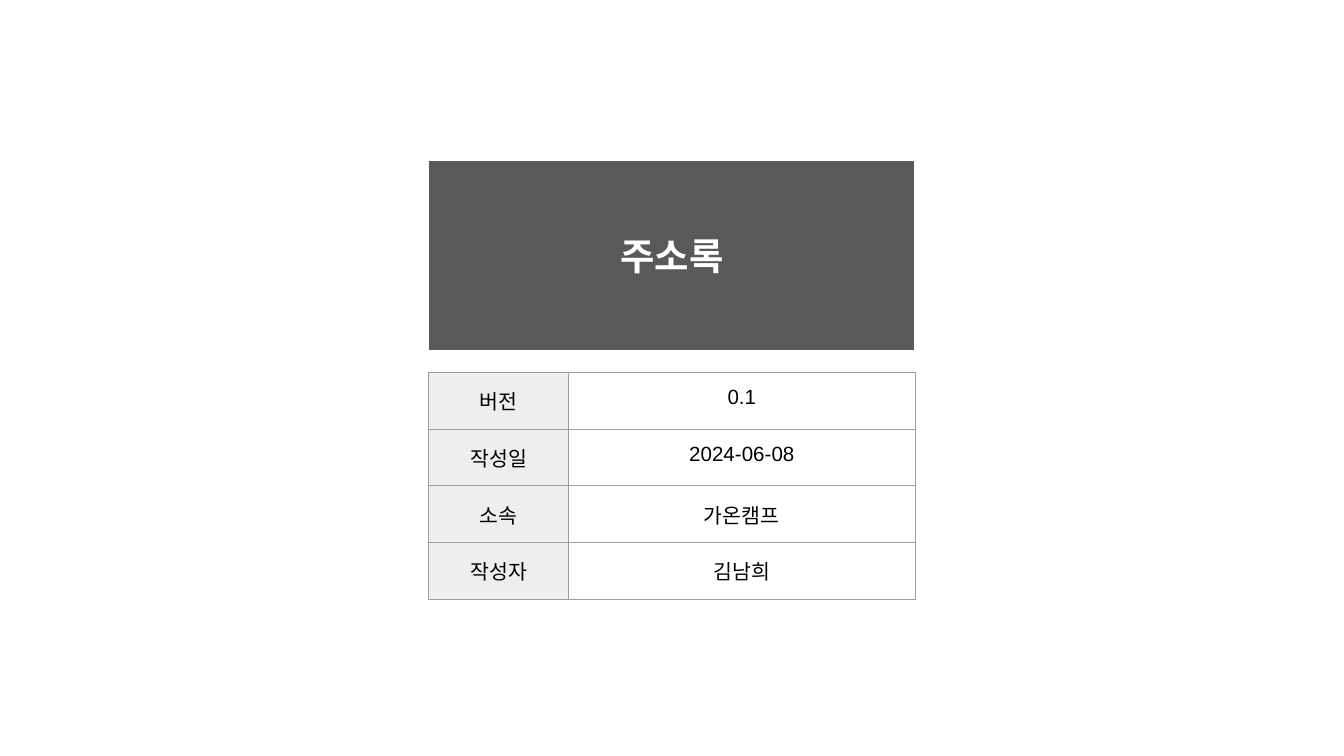
from dataclasses import dataclass

import pptx
import pptx.dml.color
import pptx.enum.text
import pptx.oxml.ns
import pptx.util
from lxml import etree

Pt = pptx.util.Pt
RGB = pptx.dml.color.RGBColor.from_string
ANCHOR = pptx.enum.text.MSO_ANCHOR
CENTER = pptx.enum.text.PP_ALIGN.CENTER


@dataclass(frozen=True)
class Theme:
    font: str = "Arial"
    white: str = "FFFFFF"
    black: str = "000000"
    banner: str = "595959"
    label: str = "EEEEEE"
    border: str = "9E9E9E"
    title_size: float = 20
    cell_size: float = 11
    line: float = 0.75
    inset: float = 7.2


THEME = Theme()
LEFT, WIDTH = 229.7, 260.6
LABEL_WIDTH = 74.9
ROW_HEIGHT = 30
TITLE = "주소록"
DETAILS = [
    ("버전", "0.1"),
    ("작성일", "2024-06-08"),
    ("소속", "가온캠프"),
    ("작성자", "김남희"),
]


def set_attributes(target, values):
    for name, value in values.items():
        setattr(target, name, value)


def inset_margins():
    return {f"margin_{side}": Pt(THEME.inset)
            for side in ("left", "right", "top", "bottom")}


def write_text(tf, text, size, color, bold=False):
    p = tf.paragraphs[0]
    p.alignment = CENTER
    r = p.add_run()
    r.text = text
    set_attributes(r.font, {"name": THEME.font, "size": Pt(size), "bold": bold})
    r.font.color.rgb = RGB(color)


def add_banner(s, text, top, height):
    sp = s.shapes.title
    set_attributes(sp, {"left": Pt(LEFT), "top": Pt(top),
                        "width": Pt(WIDTH), "height": Pt(height)})
    sp.fill.solid()
    sp.fill.fore_color.rgb = RGB(THEME.banner)
    sp.line.color.rgb = RGB(THEME.white)
    sp.line.width = Pt(THEME.line)
    tf = sp.text_frame
    set_attributes(tf, {"word_wrap": True, "vertical_anchor": ANCHOR.MIDDLE,
                        "auto_size": pptx.enum.text.MSO_AUTO_SIZE.NONE,
                        **inset_margins()})
    write_text(tf, text, THEME.title_size, THEME.white, bold=True)


def add_borders(cell):
    qn = pptx.oxml.ns.qn
    tc_pr = cell._tc.get_or_add_tcPr()
    for side in ("L", "R", "T", "B"):
        ln = etree.SubElement(tc_pr, qn(f"a:ln{side}"), w=str(Pt(THEME.line)))
        fill = etree.SubElement(ln, qn("a:solidFill"))
        etree.SubElement(fill, qn("a:srgbClr"), val=THEME.border)


def format_cell(cell, text, is_label):
    set_attributes(cell, {"vertical_anchor": ANCHOR.TOP, **inset_margins()})
    write_text(cell.text_frame, text, THEME.cell_size, THEME.black)
    add_borders(cell)
    if is_label:
        cell.fill.solid()
        cell.fill.fore_color.rgb = RGB(THEME.label)
    else:
        cell.fill.background()


def add_details(s, rows, top):
    table = s.shapes.add_table(len(rows), 2, Pt(LEFT), Pt(top), Pt(WIDTH),
                               Pt(ROW_HEIGHT * len(rows))).table
    set_attributes(table, {"first_row": False, "horz_banding": False})
    for column, width in zip(table.columns, (LABEL_WIDTH, WIDTH - LABEL_WIDTH)):
        column.width = Pt(width)
    for i, row in enumerate(rows):
        for j, text in enumerate(row):
            format_cell(table.cell(i, j), text, is_label=j == 0)


def main():
    prs = pptx.Presentation()
    set_attributes(prs, {"slide_width": Pt(720), "slide_height": Pt(405)})
    s = prs.slides.add_slide(prs.slide_layouts[5])
    add_banner(s, TITLE, top=85.7, height=102)
    add_details(s, DETAILS, top=199.5)
    prs.save("out.pptx")


if __name__ == "__main__":
    main()
